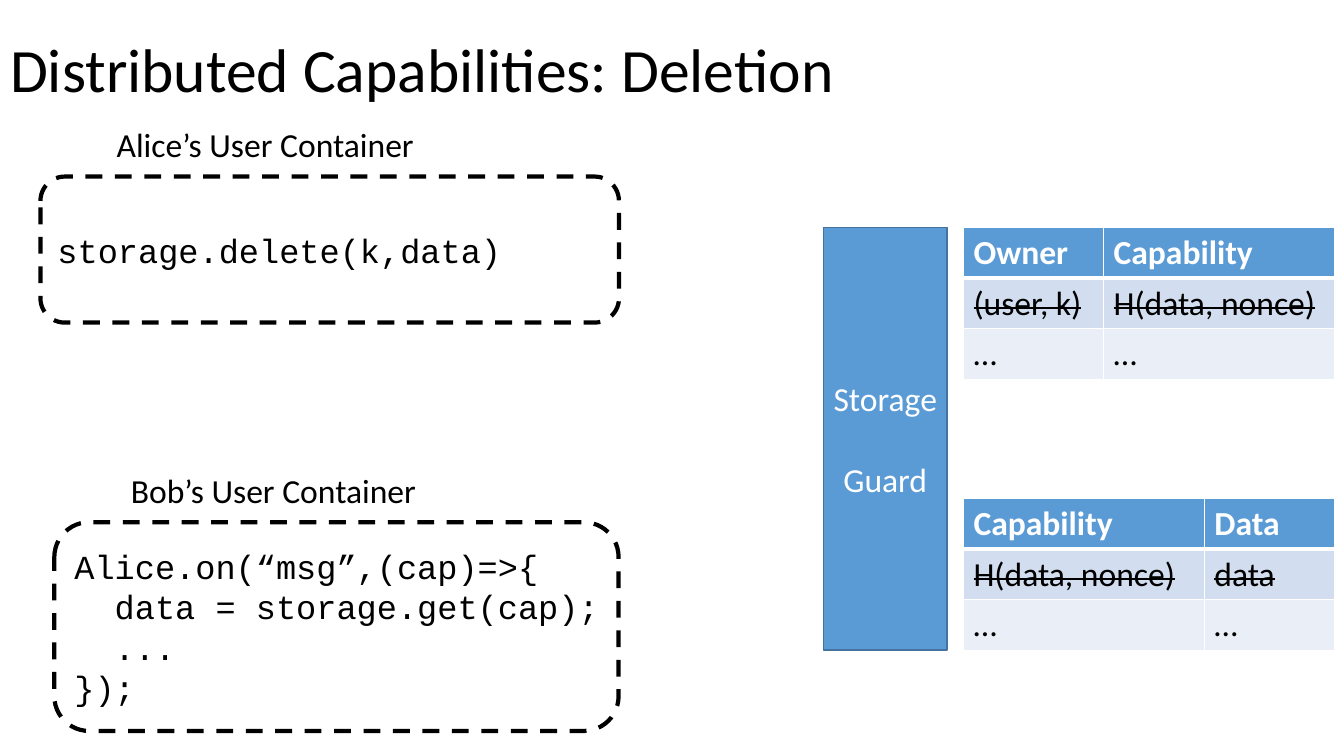
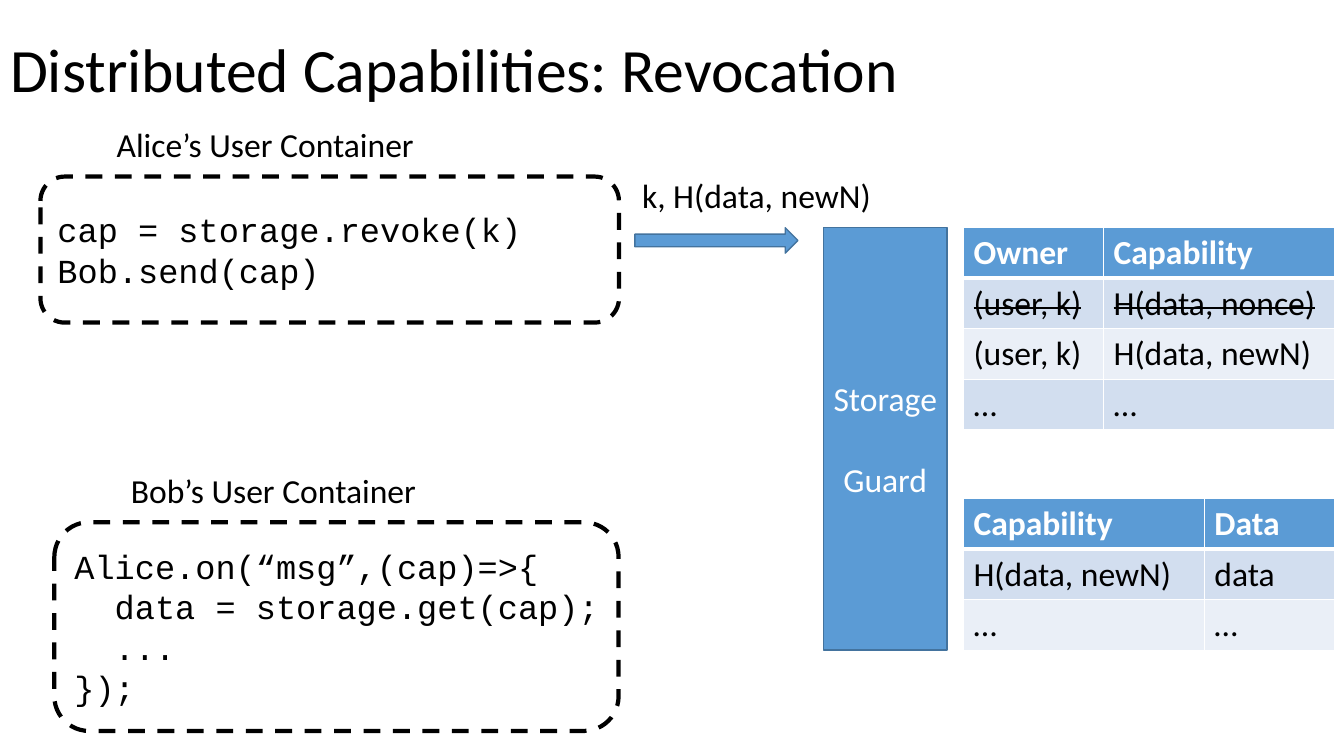
from pptx import Presentation
from pptx.dml.color import RGBColor
from pptx.enum.dml import MSO_LINE
from pptx.enum.shapes import MSO_SHAPE as Kind
from pptx.enum.text import MSO_ANCHOR as Anchor, MSO_AUTO_SIZE as Fit, PP_ALIGN as Align
from pptx.oxml import parse_xml
from pptx.oxml.ns import nsdecls
from pptx.util import Cm, Pt

HUES = {
    "ink": "000000", "paper": "FFFFFF", "blue": "5B9BD5",
    "edge": "43739E", "odd": "D2DEEF", "even": "EAEFF7",
}
SANS, MONO = "Calibri", "Courier New"

# Places are left, top, width, height in cm
TITLE = (0, 0, 29.21, 3.68)
ALICE = (1.02, 4.45, 14.58, 3.68)
BOB = (1.37, 13.16, 14.22, 5.26)
GUARD = (20.75, 5.74, 3.12, 10.64)
ARROW = (16, 5.74, 4.11, 0.64)
NOTE = (15.93, 4.29, 6.32, 1.27)
LIFT, ROW = 1.45, 1.27
TAB_X, OWN_Y, DATA_Y = 24.28, 5.74, 12.57
OWN_COLS, DATA_COLS = (3.53, 5.82), (6.07, 3.28)

BOB_CODE = "Alice.on(“msg”,(cap)=>{\n  data = storage.get(cap);\n  ...\n});"
OWN_HEAD, DATA_HEAD = ("Owner", "Capability"), ("Capability", "Data")
OLD, NEW, MORE = "H(data, nonce)", "H(data, newN)", ("…", "…")

# "gone" lists the table rows that are struck out
SLIDES = [
    {
        "title": "Distributed Capabilities: Deletion",
        "code": "storage.delete(k,data)",
        "own": {"rows": [OWN_HEAD, ("(user, k)", OLD), MORE], "gone": {1}},
        "data": {"rows": [DATA_HEAD, (OLD, "data"), MORE], "gone": {1}},
    },
    {
        "title": "Distributed Capabilities: Revocation",
        "code": "cap = storage.revoke(k)\nBob.send(cap)",
        "own": {"rows": [OWN_HEAD, ("(user, k)", OLD), ("(user, k)", NEW), MORE],
                "gone": {1}},
        "data": {"rows": [DATA_HEAD, (NEW, "data"), MORE], "gone": set()},
        "note": "k, H(data, newN)",
    },
]


def hue(name):
    return RGBColor.from_string(HUES[name])


def place(at):
    return [Cm(n) for n in at]


def write(frame, text, face=SANS, size=24, ink="ink", bold=False, strike=False):
    frame.text = text
    for para in frame.paragraphs:
        for run in para.runs:
            font = run.font
            font.name, font.size, font.bold = face, Pt(size), bold
            font.color.rgb = hue(ink)
            if strike:
                run._r.get_or_add_rPr().set("strike", "sngStrike")


def add_block(slide, kind, at, fill, line, width):
    block = slide.shapes.add_shape(kind, *place(at))
    block.shadow.inherit = False
    block.fill.solid()
    block.fill.fore_color.rgb = hue(fill)
    block.line.color.rgb = hue(line)
    block.line.width = Pt(width)
    return block


def add_label(slide, text, at):
    frame = slide.shapes.add_textbox(*place(at)).text_frame
    frame.word_wrap = False
    write(frame, text)


def add_user(slide, name, code, at, label_x):
    """Dashed code box with its owner's label above."""
    box = add_block(slide, Kind.ROUNDED_RECTANGLE, at, "paper", "ink", 3)
    box.line.dash_style = MSO_LINE.DASH
    frame = box.text_frame
    frame.margin_right = 0
    frame.vertical_anchor = Anchor.MIDDLE
    write(frame, code, MONO)
    for para in frame.paragraphs:
        para.alignment = Align.LEFT
    add_label(slide, f"{name}’s User Container", (label_x, at[1] - LIFT, 8, ROW))


def add_guard(slide):
    frame = add_block(slide, Kind.RECTANGLE, GUARD, "blue", "edge", 1).text_frame
    frame.margin_left = frame.margin_right = 0
    frame.vertical_anchor = Anchor.MIDDLE
    write(frame, "Storage\nGuard", ink="paper")
    for para in frame.paragraphs:
        para.alignment = Align.CENTER
    frame.paragraphs[1].space_before = Pt(29)


def add_borders(cell, row):
    """White rules, thick between the head row and the body."""
    thick = {0: "B", 1: "T"}.get(row)
    props = cell._tc.get_or_add_tcPr()
    for spot, side in enumerate("LRTB"):
        width = Pt(3 if side == thick else 1)
        props.insert(spot, parse_xml(
            f'<a:ln{side} {nsdecls("a")} w="{width}"><a:solidFill>'
            f'<a:srgbClr val="{HUES["paper"]}"/></a:solidFill></a:ln{side}>'))


def add_grid(slide, top, cols, rows, gone):
    table = slide.shapes.add_table(
        len(rows), len(cols),
        *place((TAB_X, top, sum(cols), ROW * len(rows)))).table
    for col, width in zip(table.columns, cols):
        col.width = Cm(width)
    for r, row in enumerate(rows):
        head = r == 0
        for c, text in enumerate(row):
            cell = table.cell(r, c)
            cell.fill.solid()
            cell.fill.fore_color.rgb = hue("blue" if head else "odd" if r % 2 else "even")
            write(cell.text_frame, text, ink="paper" if head else "ink",
                  bold=head, strike=r in gone)
            add_borders(cell, r)


def add_title(slide, text):
    frame = slide.shapes.title.text_frame
    frame.auto_size = Fit.NONE
    frame.vertical_anchor = Anchor.MIDDLE
    write(frame, text, size=44)
    para = frame.paragraphs[0]
    para.alignment, para.line_spacing = Align.LEFT, 0.9


def main():
    deck = Presentation()
    deck.slide_width, deck.slide_height = Cm(33.87), Cm(19.05)
    layout = deck.slide_layouts[5]
    head = layout.placeholders[0]
    head.left, head.top, head.width, head.height = place(TITLE)
    for page in SLIDES:
        slide = deck.slides.add_slide(layout)
        add_title(slide, page["title"])
        add_user(slide, "Alice", page["code"], ALICE, 2.69)
        add_user(slide, "Bob", BOB_CODE, BOB, 3.05)
        add_guard(slide)
        add_grid(slide, OWN_Y, OWN_COLS, **page["own"])
        add_grid(slide, DATA_Y, DATA_COLS, **page["data"])
        if "note" in page:
            add_label(slide, page["note"], NOTE)
            add_block(slide, Kind.RIGHT_ARROW, ARROW, "blue", "edge", 1)
    deck.save("out.pptx")


if __name__ == "__main__":
    main()
